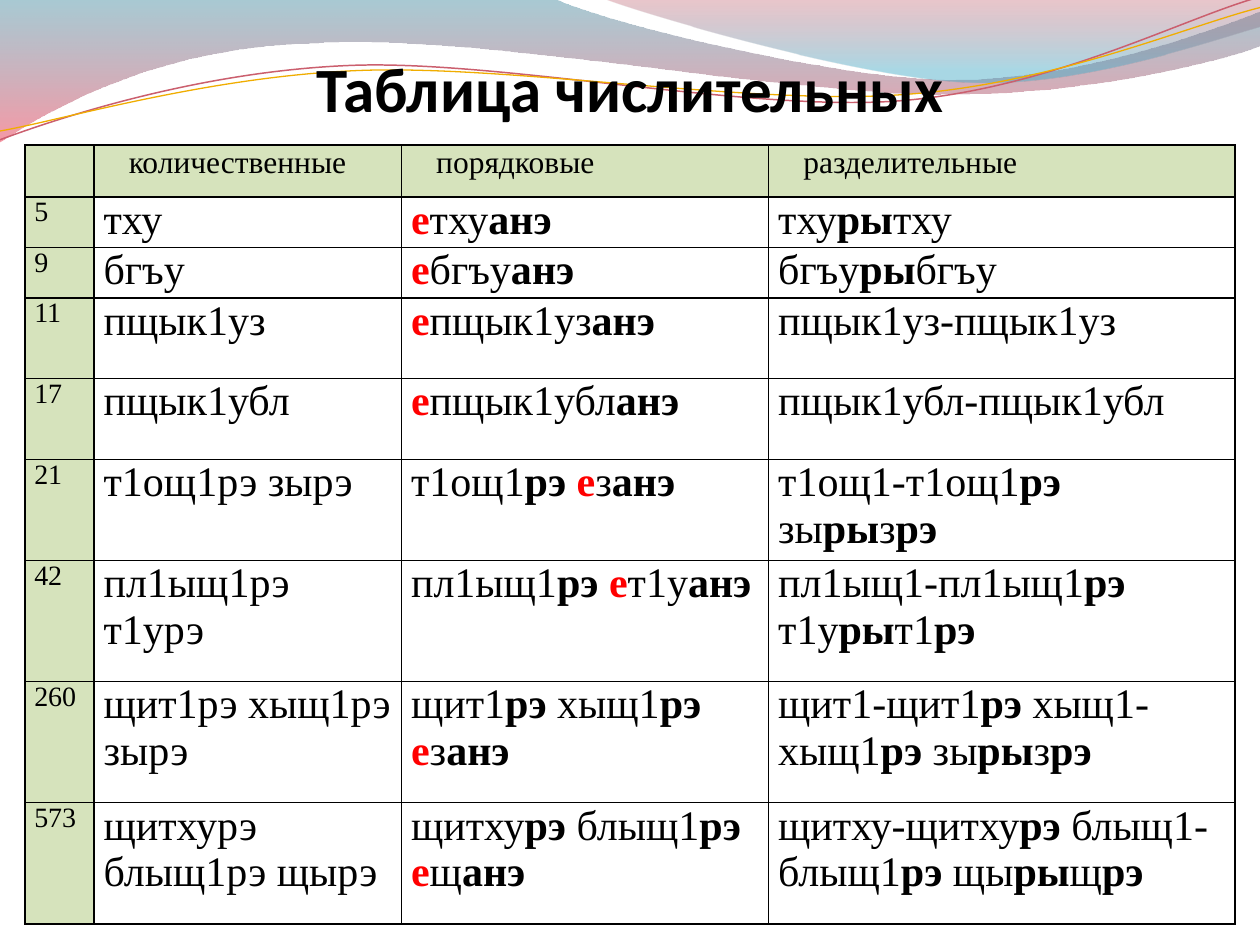
from dataclasses import dataclass

import pptx
import pptx.dml.color
import pptx.enum.text
import pptx.oxml
import pptx.oxml.ns
import pptx.util

Pt = pptx.util.Pt
qn = pptx.oxml.ns.qn
NAMESPACE = pptx.oxml.ns.nsdecls("a")
BODY_FONT = "Times New Roman"
BLACK, RED, GREEN = "000000", "FF0000", "D6E3BC"


@dataclass
class Stop:
    position: float
    colour: str
    opacity: int


@dataclass
class Wave:
    start: tuple[float, float]
    segments: list[tuple[float, ...]]
    stops: tuple[Stop, ...] = ()
    line: str = ""
    width: float = 0
    rotation: float = 0


@dataclass
class Numeral:
    number: str
    cardinal: str
    ordinal: str
    distributive: str
    height: float


WAVES = [
    Wave((0, 0), [
        (316.8, -0.7),
        (342.7, 12.2, 478.1, 45.4, 545.8, 45.4),
        (614.2, 45.4, 689.8, 18.7, 720, 6.5),
        (720.7, 25.9),
        (707.8, 31.7, 626.4, 54.7, 537.1, 54),
        (447.8, 54, 275, 20.2, 185, 24.5),
        (92.9, 25.9, 33.1, 59.8, -0.7, 81.4),
    ], stops=(Stop(0, "3F8A9F", 45), Stop(1, "EF445B", 55))),
    Wave((344.9, -0.7), [
        (366.5, 7.9, 491, 44.6, 553.7, 46.8),
        (616.3, 49.7, 691.9, 23, 720, 15.1),
        (720, 0),
    ], stops=(Stop(0, "B84253", 30), Stop(0.8, "42ABC7", 45))),
    Wave((-1.4, 62.9), [
        (33.7, 51.7, 114.1, 29.4, 199.8, 29.9),
        (284.8, 30.3, 425.9, 67.3, 512.5, 64.9),
        (599.1, 62.4, 676.5, 25.7, 720.2, 15.6),
    ], line="CB5F6E", width=0.85, rotation=357.3),
    Wave((-1.1, 57.9), [
        (32.9, 53.7, 118.3, 32.5, 204.1, 33),
        (290.5, 33.4, 428.9, 63.8, 515.5, 61.4),
        (601.4, 59.6, 678.4, 30.1, 721.4, 21.3),
    ], line="F0AD00", width=0.75, rotation=357.3),
]

COLUMN_WIDTHS = [39.6, 175.7, 209.8, 266.4]
HEADINGS = ["", "количественные", "порядковые", "разделительные"]
HEADING_HEIGHT = 29.6
NUMERALS = [
    Numeral("5", "тху", "|е|тху|анэ|", "тху|ры|тху", 28.1),
    Numeral("9", "бгъу", "|е|бгъу|анэ|", "бгъу|ры|бгъу", 28.1),
    Numeral("11", "пщык1уз", "|е|пщык1уз|анэ|", "пщык1уз-пщык1уз", 46.2),
    Numeral("17", "пщык1убл", "|е|пщык1убл|анэ|", "пщык1убл-пщык1убл", 46.2),
    Numeral("21", "т1ощ1рэ зырэ", "т1ощ1|рэ ||е|з|анэ|",
            "т1ощ1-т1ощ1|рэ |зы|ры|з|рэ|", 56.2),
    Numeral("42", "пл1ыщ1рэ т1урэ", "пл1ыщ1|рэ ||е|т1у|анэ|",
            "пл1ыщ1-пл1ыщ1|рэ| т1у|ры|т1|рэ|", 69.3),
    Numeral("260", "щит1рэ хыщ1рэ зырэ", "щит1|рэ| хыщ1|рэ ||е|з|анэ|",
            "щит1-щит1|рэ| хыщ1-хыщ1|рэ |зы|ры|з|рэ|", 69.3),
    Numeral("573", "щитхурэ блыщ1рэ щырэ", "щитху|рэ| блыщ1|рэ ||е|щ|анэ|",
            "щитху-щитху|рэ| блыщ1-блыщ1|рэ |щы|ры|щ|рэ|", 69.3),
]


def rgb(colour: str) -> pptx.dml.color.RGBColor:
    return pptx.dml.color.RGBColor.from_string(colour)


def bend(outline, segments: list[tuple[float, ...]]) -> None:
    steps = iter(list(outline.iter(qn("a:lnTo"))))
    for segment in segments:
        corners = [next(steps) for _ in range(len(segment) // 2)]
        if len(corners) == 3:
            curve = pptx.oxml.parse_xml(f"<a:cubicBezTo {NAMESPACE}/>")
            corners[0].addprevious(curve)
            for corner in corners:
                curve.append(corner[0])
                corner.getparent().remove(corner)


def draw_wave(slide, wave: Wave) -> None:
    builder = slide.shapes.build_freeform(Pt(wave.start[0]), Pt(wave.start[1]))
    corners = [(Pt(x), Pt(y)) for segment in wave.segments
               for x, y in zip(segment[::2], segment[1::2])]
    builder.add_line_segments(corners, close=bool(wave.stops))
    ribbon = builder.convert_to_shape()
    bend(ribbon.element, wave.segments)
    ribbon.shadow.inherit = False
    ribbon.rotation = wave.rotation
    if not wave.stops:
        ribbon.fill.background()
        ribbon.line.color.rgb = rgb(wave.line)
        ribbon.line.width = Pt(wave.width)
        return
    ribbon.line.fill.background()
    ribbon.fill.gradient()
    ribbon.fill.gradient_angle = 270
    for gradient_stop, stop in zip(ribbon.fill.gradient_stops, wave.stops):
        gradient_stop.position = stop.position
        gradient_stop.color.rgb = rgb(stop.colour)
    for tint, stop in zip(list(ribbon.element.iter(qn("a:srgbClr"))), wave.stops):
        tint.append(pptx.oxml.parse_xml(
            f'<a:alpha {NAMESPACE} val="{stop.opacity * 1000}"/>'))


def draw_title(slide, wording: str) -> None:
    title = slide.shapes.add_textbox(Pt(20), Pt(26), Pt(680), Pt(45.4)).text_frame
    title.word_wrap = True
    title.vertical_anchor = pptx.enum.text.MSO_ANCHOR.BOTTOM
    title.margin_left = title.margin_right = title.margin_bottom = 0
    title.margin_top = Pt(3.6)
    heading = title.paragraphs[0]
    heading.text = wording
    heading.alignment = pptx.enum.text.PP_ALIGN.CENTER
    heading.font.name = "Calibri"
    heading.font.size = Pt(36)
    heading.font.bold = True
    heading.font.color.rgb = rgb(BLACK)


def fill_cell(cell, marked: str, size: float, fill: str = "", indent: float = 0) -> None:
    cell.margin_left = cell.margin_right = Pt(5.4)
    cell.margin_top = cell.margin_bottom = 0
    properties = cell._tc.get_or_add_tcPr()
    for side in "LRTB":
        properties.append(pptx.oxml.parse_xml(
            f'<a:ln{side} {NAMESPACE} w="{Pt(1)}"><a:solidFill>'
            f'<a:srgbClr val="{BLACK}"/></a:solidFill></a:ln{side}>'))
    if fill:
        cell.fill.solid()
        cell.fill.fore_color.rgb = rgb(fill)
    else:
        cell.fill.background()
    wording = cell.text_frame.paragraphs[0]
    if indent:
        wording._p.get_or_add_pPr().set("marL", str(Pt(indent)))
    wording.font.name = BODY_FONT
    wording.font.size = Pt(size)
    wording.font.color.rgb = rgb(BLACK)
    for position, part in enumerate(marked.split("|")):
        if part:
            run = wording.add_run()
            run.text = part
            if position % 2:
                run.font.bold = True
                if part == "е":
                    run.font.color.rgb = rgb(RED)
    wording._p.append(pptx.oxml.parse_xml(
        f'<a:endParaRPr {NAMESPACE} sz="{size * 100}">'
        f'<a:latin typeface="{BODY_FONT}"/></a:endParaRPr>'))


def draw_numerals(slide) -> None:
    heights = [HEADING_HEIGHT] + [numeral.height for numeral in NUMERALS]
    table = slide.shapes.add_table(
        len(heights), len(COLUMN_WIDTHS), Pt(14.2), Pt(82.9),
        Pt(sum(COLUMN_WIDTHS)), Pt(sum(heights))).table
    table.first_row = table.horz_banding = False
    for column, width in zip(table.columns, COLUMN_WIDTHS):
        column.width = Pt(width)
    for row, height in zip(table.rows, heights):
        row.height = Pt(height)
    for column, heading in enumerate(HEADINGS):
        fill_cell(table.cell(0, column), heading, 18, GREEN, indent=14.4)
    for row, numeral in enumerate(NUMERALS, start=1):
        fill_cell(table.cell(row, 0), numeral.number, 16, GREEN)
        forms = (numeral.cardinal, numeral.ordinal, numeral.distributive)
        for column, form in enumerate(forms, start=1):
            fill_cell(table.cell(row, column), form, 24)


def main() -> None:
    deck = pptx.Presentation()
    deck.slide_width, deck.slide_height = Pt(720), Pt(540)
    slide = deck.slides.add_slide(deck.slide_layouts[6])
    for wave in WAVES:
        draw_wave(slide, wave)
    draw_title(slide, "Таблица числительных")
    draw_numerals(slide)
    deck.save("out.pptx")


if __name__ == "__main__":
    main()
